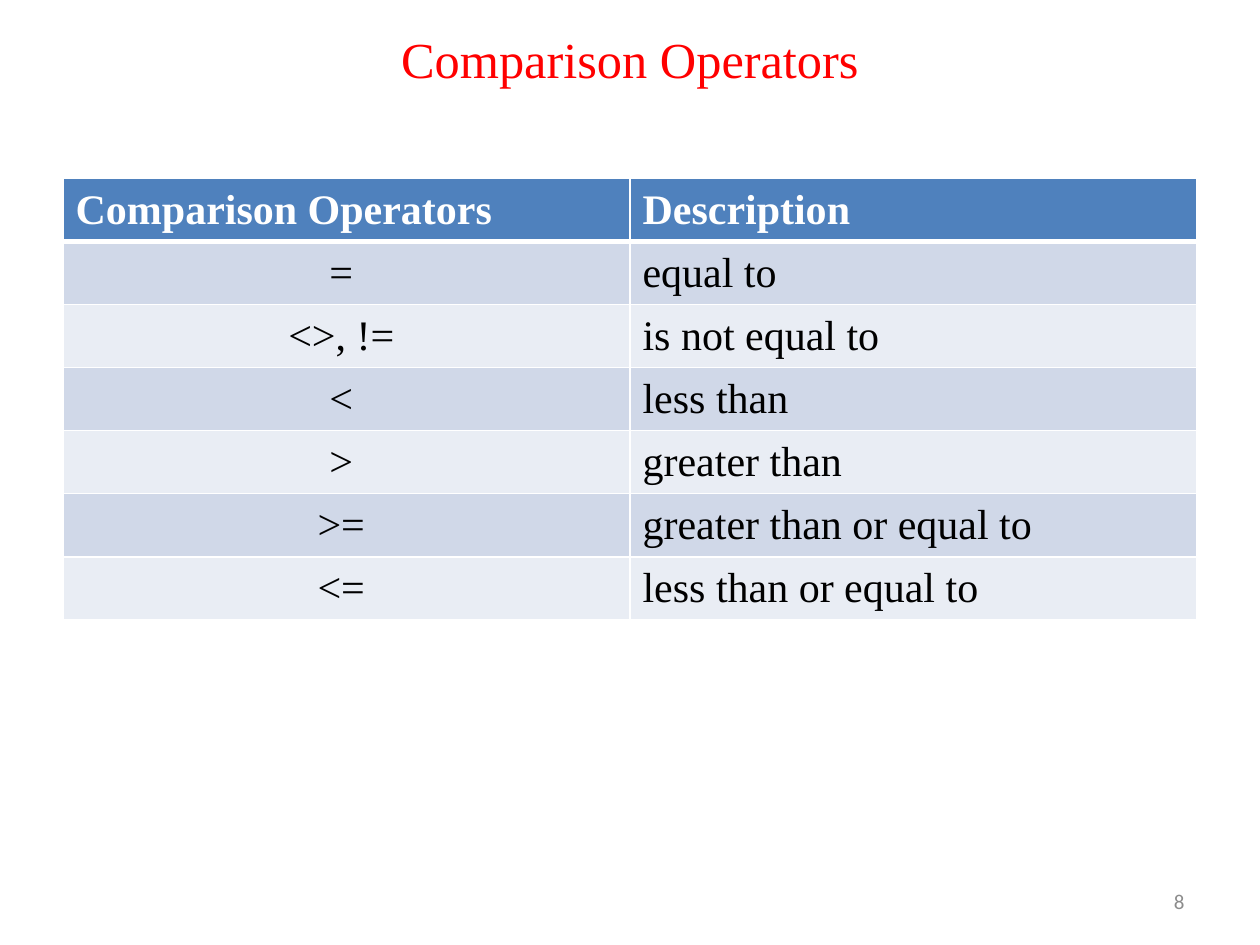
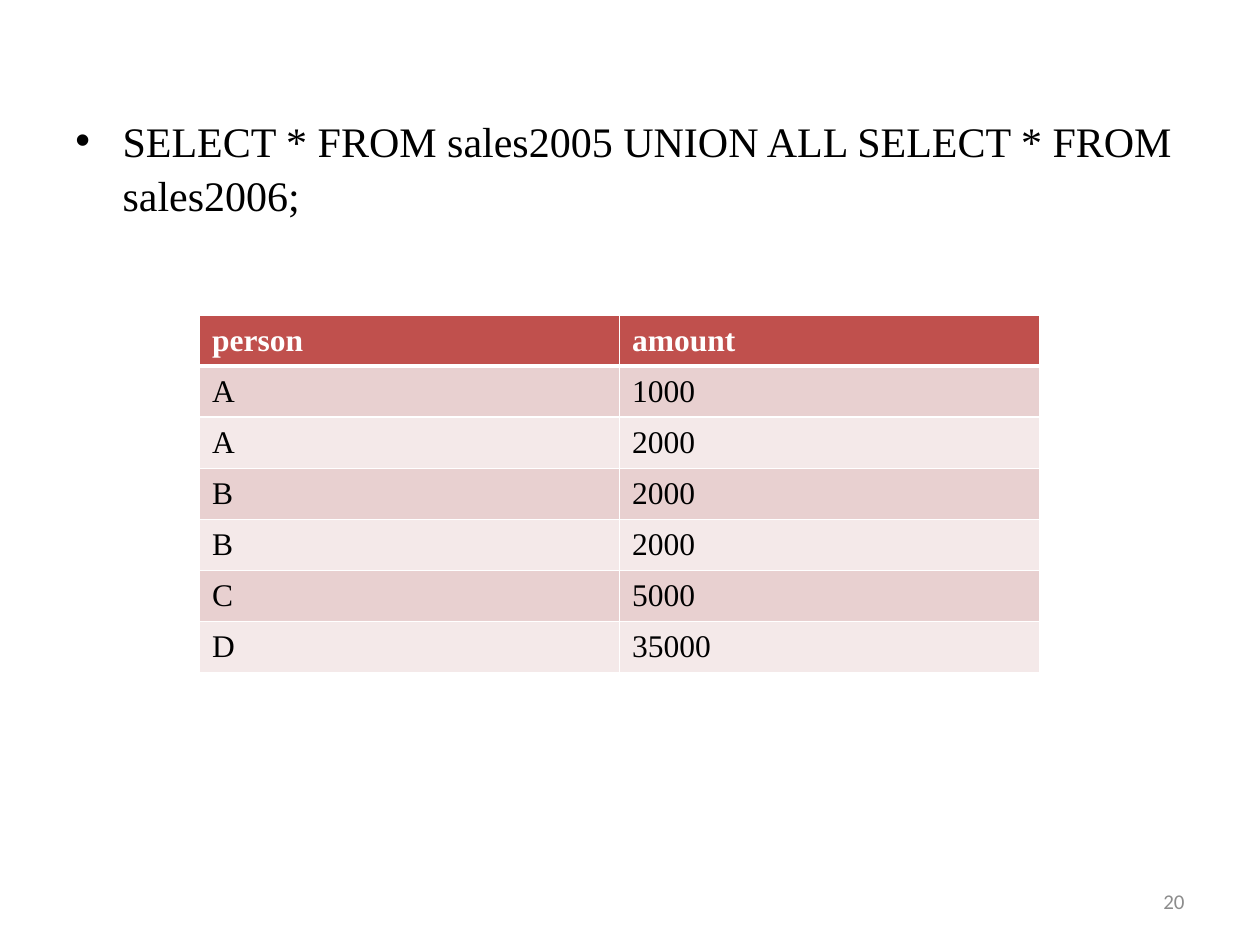
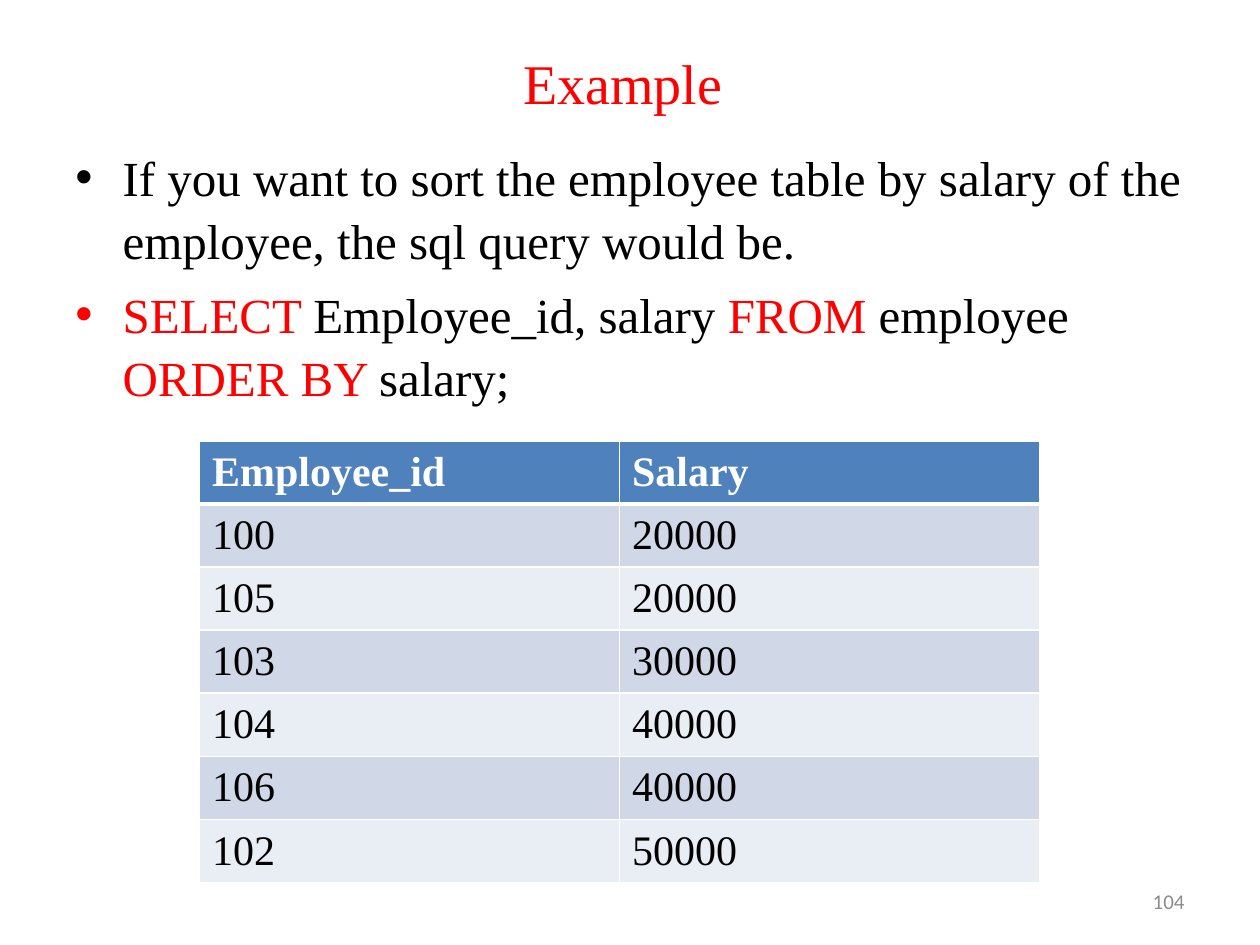
"""Build three SQL slides, each with a banded two-column table."""
from lxml import etree
from pptx import Presentation
from pptx.dml.color import RGBColor as Rgb
from pptx.enum.text import MSO_ANCHOR as Anchor, PP_ALIGN as Align
from pptx.oxml import parse_xml
from pptx.oxml.ns import nsdecls, qn
from pptx.util import Pt

COLORS = {"red": "FF0000", "black": "000000", "white": "FFFFFF", "gray": "8C8C8C"}
BANDS = {
    "blue": ("4F81BD", "D0D8E8", "E9EDF4"),
    "brick": ("C0504D", "E8D0D0", "F4E9E9"),
}
SERIF = "Times New Roman"
ROW_HEIGHT = 29.2
INDENT = 27

slides = [
    {
        "title": ("Comparison Operators", 28.8, 56, 35.5),
        "table": (36, 102, 324, 24, "blue", Align.CENTER),
        "rows": [
            ("Comparison Operators", "Description"),
            ("= ", "equal to"),
            ("<>, != ", "is not equal to"),
            ("< ", "less than"),
            ("> ", "greater than"),
            (">= ", "greater than or equal to"),
            ("<= ", "less than or equal to"),
        ],
        "number": "8",
    },
    {
        "body": (60, 422.5, 24),
        "bullets": [
            [("SELECT * FROM sales2005 UNION ALL SELECT * FROM sales2006;", "black")],
        ],
        "table": (114, 180, 240, 18, "brick", Align.LEFT),
        "rows": [
            ("person", "amount"),
            ("A", "1000"),
            ("A", "2000"),
            ("B", "2000"),
            ("B", "2000"),
            ("C", "5000"),
            ("D", "35000"),
        ],
        "number": "20",
    },
    {
        "title": ("Example ", 32, 50.5, 3.6),
        "body": (78, 432, 28),
        "bullets": [
            [("If you want to sort the employee table by salary of the employee, "
              "the sql query would be.", "black")],
            [("SELECT ", "red"), ("Employee_id, salary ", "black"), ("FROM ", "red"),
             ("employee ", "black"), ("ORDER BY ", "red"), ("salary;", "black")],
        ],
        "table": (114, 252, 240, 24, "blue", Align.LEFT),
        "rows": [
            ("Employee_id", "Salary"),
            ("100", "20000"),
            ("105", "20000"),
            ("103", "30000"),
            ("104", "40000"),
            ("106", "40000"),
            ("102", "50000"),
        ],
        "number": "104",
    },
]


def add_box(page, left, top, width, height, anchor):
    """Add a wrapping text box and return its text frame."""
    box = page.shapes.add_textbox(Pt(left), Pt(top), Pt(width), Pt(height))
    frame = box.text_frame
    frame.word_wrap = True
    frame.vertical_anchor = anchor
    return frame


def add_span(para, text, size, color, font=SERIF, bold=False):
    """Add one formatted run to a paragraph."""
    span = para.add_run()
    span.text = text
    span.font.name = font
    span.font.size = Pt(size)
    span.font.bold = bold
    span.font.color.rgb = Rgb.from_string(COLORS[color])


deck = Presentation()
deck.slide_width, deck.slide_height = Pt(720), Pt(540)

for content in slides:
    page = deck.slides.add_slide(deck.slide_layouts[6])

    if "title" in content:
        text, size, height, bottom_inset = content["title"]
        frame = add_box(page, 36, 21.6, 648, height, Anchor.MIDDLE)
        frame.margin_bottom = Pt(bottom_inset)
        para = frame.paragraphs[0]
        para.alignment = Align.CENTER
        add_span(para, text, size, "red")

    if "body" in content:
        top, height, size = content["body"]
        frame = add_box(page, 36, top, 648, height, Anchor.TOP)
        for index, spans in enumerate(content["bullets"]):
            para = frame.add_paragraph() if index else frame.paragraphs[0]
            props = para._p.get_or_add_pPr()
            props.set("marL", str(Pt(INDENT)))
            props.set("indent", str(-Pt(INDENT)))
            etree.SubElement(props, qn("a:buFont")).set("typeface", "Arial")
            etree.SubElement(props, qn("a:buChar")).set("char", "•")
            para.line_spacing = 1.08
            if index:
                para.space_before = Pt(size * 0.2)
            for text, color in spans:
                add_span(para, text, size, color)

    left, top, column_width, size, theme, key_align = content["table"]
    rows = content["rows"]
    header_fill, *band_fills = BANDS[theme]
    table = page.shapes.add_table(
        len(rows), 2, Pt(left), Pt(top), Pt(2 * column_width), Pt(len(rows) * ROW_HEIGHT)
    ).table
    for row in table.rows:
        row.height = Pt(ROW_HEIGHT)
    for row_index, values in enumerate(rows):
        is_header = row_index == 0
        fill = header_fill if is_header else band_fills[(row_index - 1) % 2]
        widths = {"L": 1, "R": 1, "T": 3 if row_index == 1 else 1, "B": 3 if is_header else 1}
        for column_index, text in enumerate(values):
            cell = table.cell(row_index, column_index)
            cell.vertical_anchor = Anchor.MIDDLE
            for side, width in widths.items():
                cell._tc.get_or_add_tcPr().append(parse_xml(
                    f'<a:ln{side} {nsdecls("a")} w="{Pt(width)}"><a:solidFill>'
                    f'<a:srgbClr val="{COLORS["white"]}"/></a:solidFill></a:ln{side}>'
                ))
            cell.fill.solid()
            cell.fill.fore_color.rgb = Rgb.from_string(fill)
            para = cell.text_frame.paragraphs[0]
            para.alignment = Align.LEFT if is_header or column_index else key_align
            add_span(para, text, size, "white" if is_header else "black", bold=is_header)

    frame = add_box(page, 516, 500.5, 168, 28.75, Anchor.MIDDLE)
    para = frame.paragraphs[0]
    para.alignment = Align.RIGHT
    add_span(para, content["number"], 12, "gray", font="Calibri")

deck.save("out.pptx")
